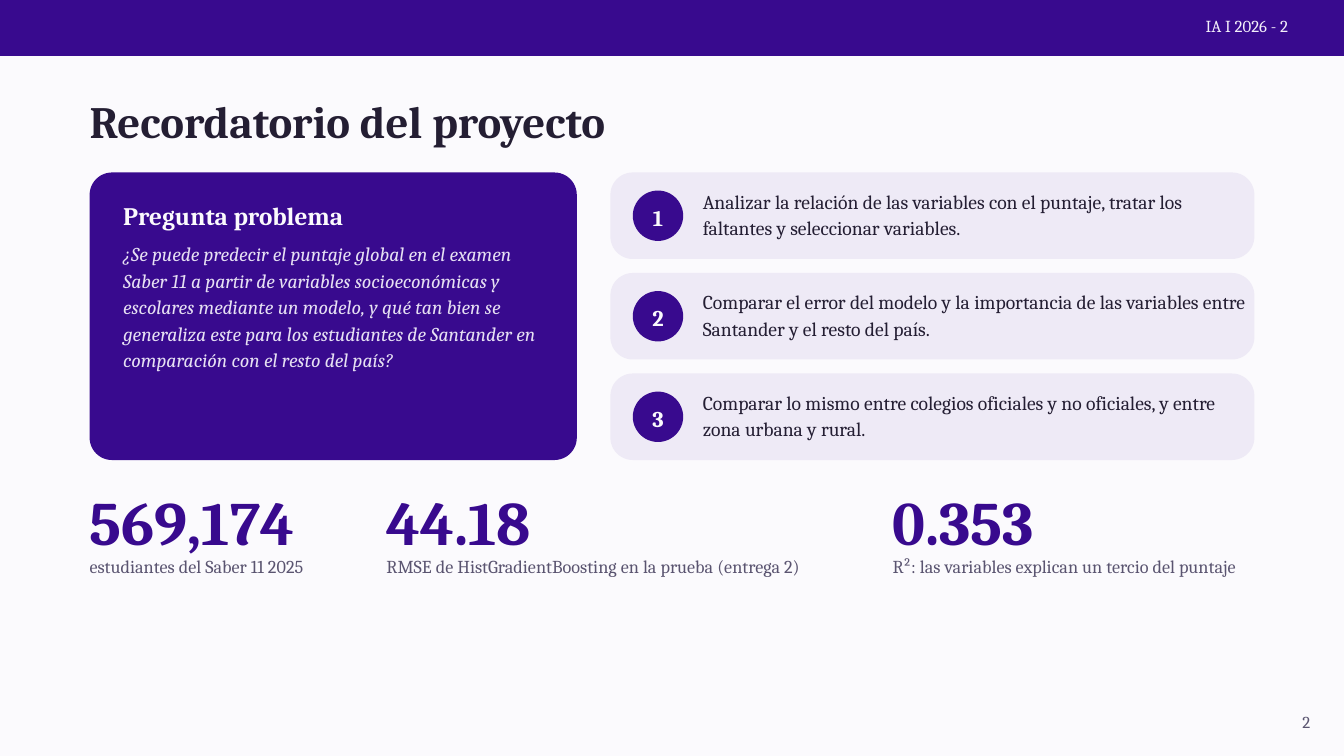
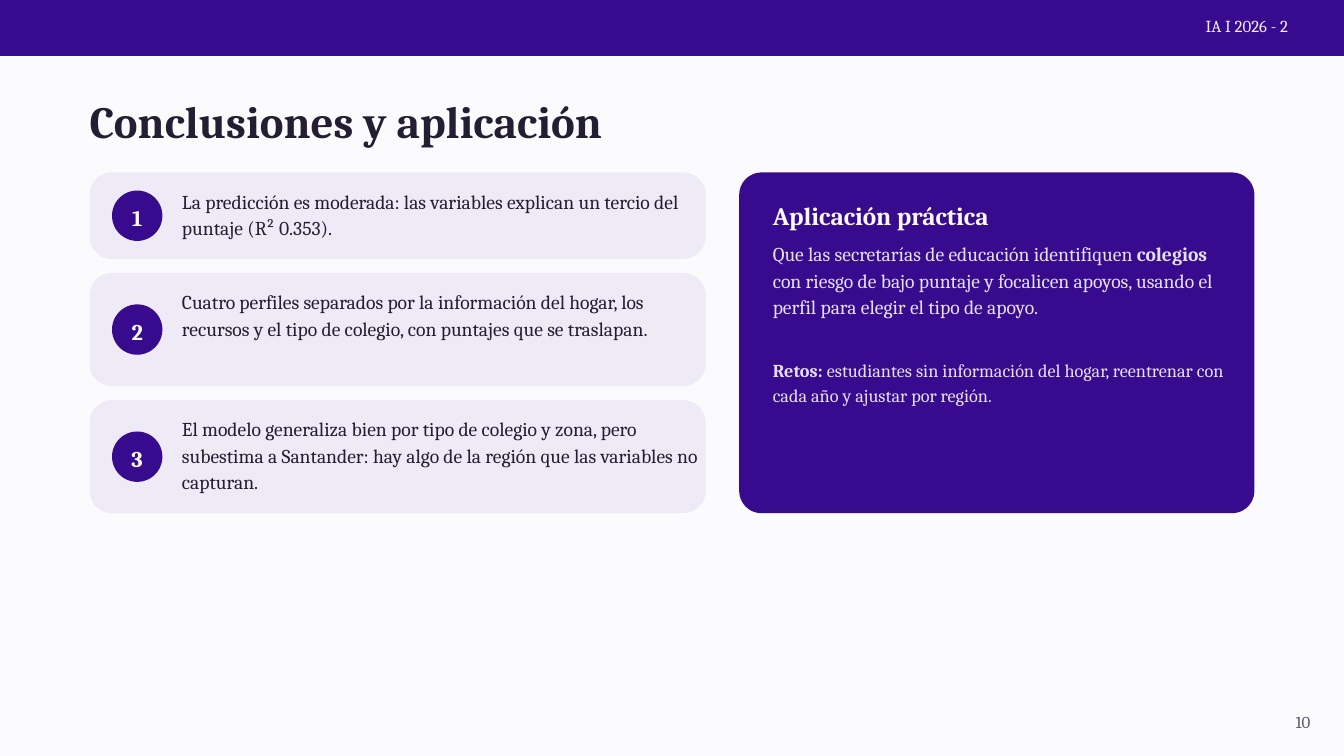
from pptx import Presentation
from pptx.dml.color import RGBColor
from pptx.enum.shapes import MSO_SHAPE
from pptx.enum.text import MSO_ANCHOR, MSO_AUTO_SIZE, PP_ALIGN
from pptx.util import Inches, Pt

RECT, ROUNDED, OVAL = MSO_SHAPE.RECTANGLE, MSO_SHAPE.ROUNDED_RECTANGLE, MSO_SHAPE.OVAL
LEFT, CENTER, RIGHT = PP_ALIGN.LEFT, PP_ALIGN.CENTER, PP_ALIGN.RIGHT
TOP, MIDDLE = MSO_ANCHOR.TOP, MSO_ANCHOR.MIDDLE
NO_AUTOFIT = MSO_AUTO_SIZE.NONE

FONT = "Cambria"
COLORS = {
    "paper": "FBFAFD",
    "violet": "380A8E",
    "lilac": "EEEAF6",
    "ink": "241E33",
    "muted": "5A5470",
    "band_text": "F3EFFA",
    "panel_text": "E6E0F3",
}

prs = Presentation()
prs.slide_width = Inches(20)
prs.slide_height = Inches(11.25)
UNIT = prs.slide_width / 240
MARGIN = 16
RIGHT_EDGE = 240 - MARGIN
CONTENT_TOP = 30.8
CARD_GAP = 2.5
CORNER = 4
BADGE = 9
SHORT, TALL = 15.45, 20.2


def place(slide, outline, left, top, width, height, fill=None):
    box = [round(value * UNIT) for value in (left, top, width, height)]
    if outline is None:
        return slide.shapes.add_textbox(*box)
    shape = slide.shapes.add_shape(outline, *box)
    shape.shadow.inherit = False
    shape.fill.solid()
    shape.fill.fore_color.rgb = RGBColor.from_string(COLORS[fill])
    shape.line.fill.background()
    if outline == ROUNDED:
        shape.adjustments[0] = CORNER / min(width, height)
    return shape


def write(holder, text, size=21, leading=28.4, color="ink", bold=False,
          italic=False, align=LEFT, anchor=TOP):
    frame = holder.text_frame
    frame.margin_left = frame.margin_right = frame.margin_top = frame.margin_bottom = 0
    frame.word_wrap = True
    frame.auto_size = NO_AUTOFIT
    frame.vertical_anchor = anchor
    paragraph = frame.paragraphs[0]
    paragraph.alignment = align
    paragraph.line_spacing = Pt(leading)
    for index, part in enumerate(text.split("*")):
        run = paragraph.add_run()
        run.text = part
        run.font.name = FONT
        run.font.size = Pt(size)
        run.font.bold = bold or index % 2 == 1
        run.font.italic = italic
        run.font.color.rgb = RGBColor.from_string(COLORS[color])


background = prs.slide_master.background.fill
background.solid()
background.fore_color.rgb = RGBColor.from_string(COLORS["paper"])

pages = [
    {
        "title": "Recordatorio del proyecto",
        "number": "2",
        "cards_left": 109,
        "cards_width": 115,
        "cards": [
            (SHORT, "Analizar la relación de las variables con el puntaje, tratar los faltantes y seleccionar variables."),
            (SHORT, "Comparar el error del modelo y la importancia de las variables entre Santander y el resto del país."),
            (SHORT, "Comparar lo mismo entre colegios oficiales y no oficiales, y entre zona urbana y rural."),
        ],
        "panel_left": MARGIN,
        "panel_width": 87,
        "panel_title": "Pregunta problema",
        "panel_texts": [
            (42.7, "¿Se puede predecir el puntaje global en el examen Saber 11 a partir de variables socioeconómicas y escolares mediante un modelo, y qué tan bien se generaliza este para los estudiantes de Santander en comparación con el resto del país?",
             {"italic": True}),
        ],
        "figures": [
            (MARGIN, 42.2, "569,174", "estudiantes del Saber 11 2025"),
            (69, 80.6, "44.18", "RMSE de HistGradientBoosting en la prueba (entrega 2)"),
            (159.4, 66.6, "0.353", "R²: las variables explican un tercio del puntaje"),
        ],
    },
    {
        "title": "Conclusiones y aplicación",
        "number": "10",
        "cards_left": MARGIN,
        "cards_width": 110,
        "cards": [
            (SHORT, "La predicción es moderada: las variables explican un tercio del puntaje (R² 0.353)."),
            (TALL, "Cuatro perfiles separados por la información del hogar, los recursos y el tipo de colegio, con puntajes que se traslapan."),
            (TALL, "El modelo generaliza bien por tipo de colegio y zona, pero subestima a Santander: hay algo de la región que las variables no capturan."),
        ],
        "panel_left": 132,
        "panel_width": 92,
        "panel_title": "Aplicación práctica",
        "panel_texts": [
            (42.7, "Que las secretarías de educación identifiquen *colegios* con riesgo de bajo puntaje y focalicen apoyos, usando el perfil para elegir el tipo de apoyo.", {}),
            (63.7, "*Retos:* estudiantes sin información del hogar, reentrenar con cada año y ajustar por región.",
             {"size": 19.5, "leading": 26.3}),
        ],
        "figures": [],
    },
]

for page in pages:
    slide = prs.slides.add_slide(prs.slide_layouts[5])

    place(slide, RECT, 0, 0, 240, 10, "violet")
    write(place(slide, None, 178.5, 2.4, 51.5, 4.9), "IA I 2026 - 2",
          size=18, leading=24.3, color="band_text", align=RIGHT)
    write(place(slide, None, 223, 126.6, 11, 4.9), page["number"],
          size=18, leading=24.3, color="muted", align=RIGHT)

    title = slide.shapes.title
    title.left, title.top = round(MARGIN * UNIT), round(17.6 * UNIT)
    title.width, title.height = round(214.2 * UNIT), round(8.6 * UNIT)
    write(title, page["title"], size=48, leading=52.8, bold=True)

    left, width = page["cards_left"], page["cards_width"]
    top = CONTENT_TOP
    for number, (height, idea) in enumerate(page["cards"], 1):
        place(slide, ROUNDED, left, top, width, height, "lilac")
        badge = place(slide, OVAL, left + 4, top + (height - BADGE) / 2, BADGE, BADGE, "violet")
        write(badge, str(number), size=24, leading=32.4, color="paper",
              bold=True, align=CENTER, anchor=MIDDLE)
        write(place(slide, None, left + 16.5, top + 2.5, width - 17.8, height - 5), idea)
        top += height + CARD_GAP

    left, width = page["panel_left"], page["panel_width"]
    place(slide, ROUNDED, left, CONTENT_TOP, width, top - CARD_GAP - CONTENT_TOP, "violet")
    write(place(slide, None, left + 6, 35.8, width - 9.6, 5.9), page["panel_title"],
          size=27, leading=32.4, color="paper", bold=True)
    for text_top, text, style in page["panel_texts"]:
        write(place(slide, None, left + 6, text_top, width - 9.6, 19.9), text,
              color="panel_text", **style)

    for left, width, figure, meaning in page["figures"]:
        write(place(slide, None, left, 86.9, width, 12.6), figure,
              size=66, leading=75.9, color="violet", bold=True)
        write(place(slide, None, left, 98.9, width, 9.2), meaning,
              size=19.5, leading=25.4, color="muted")

prs.save("out.pptx")
